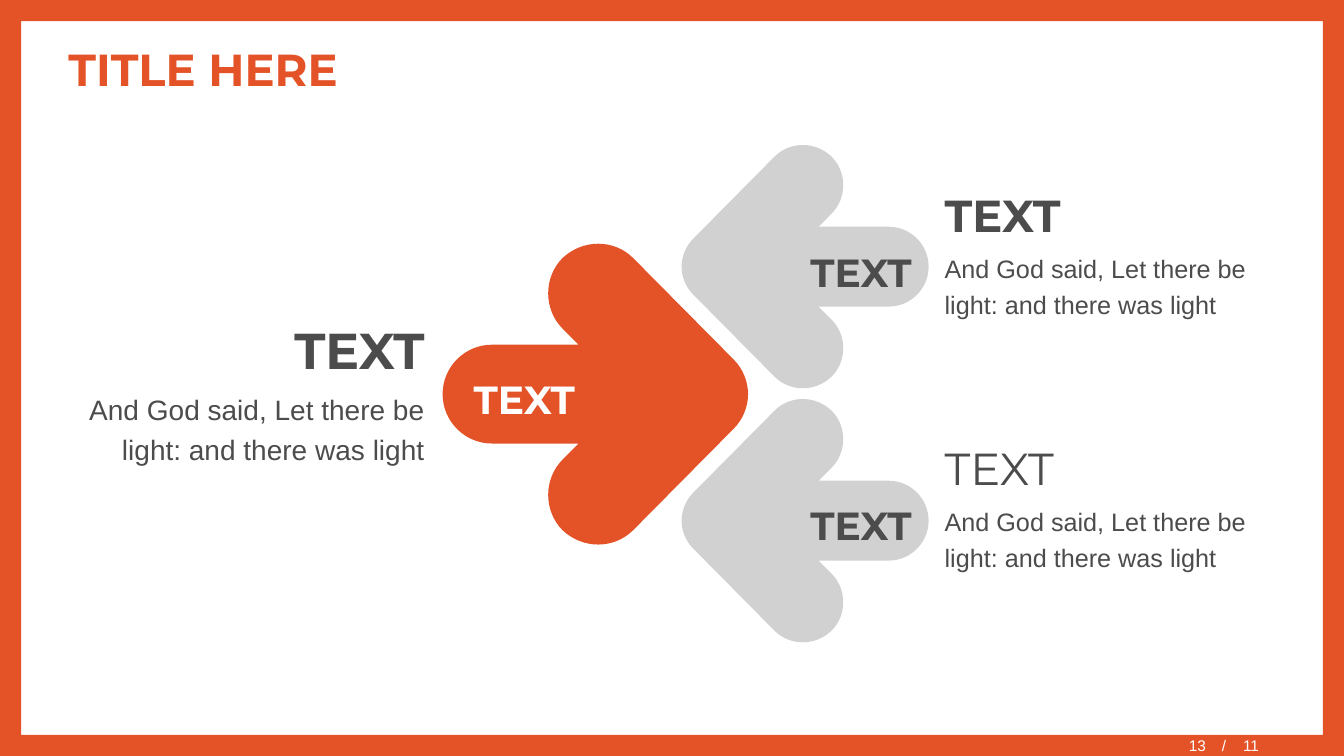
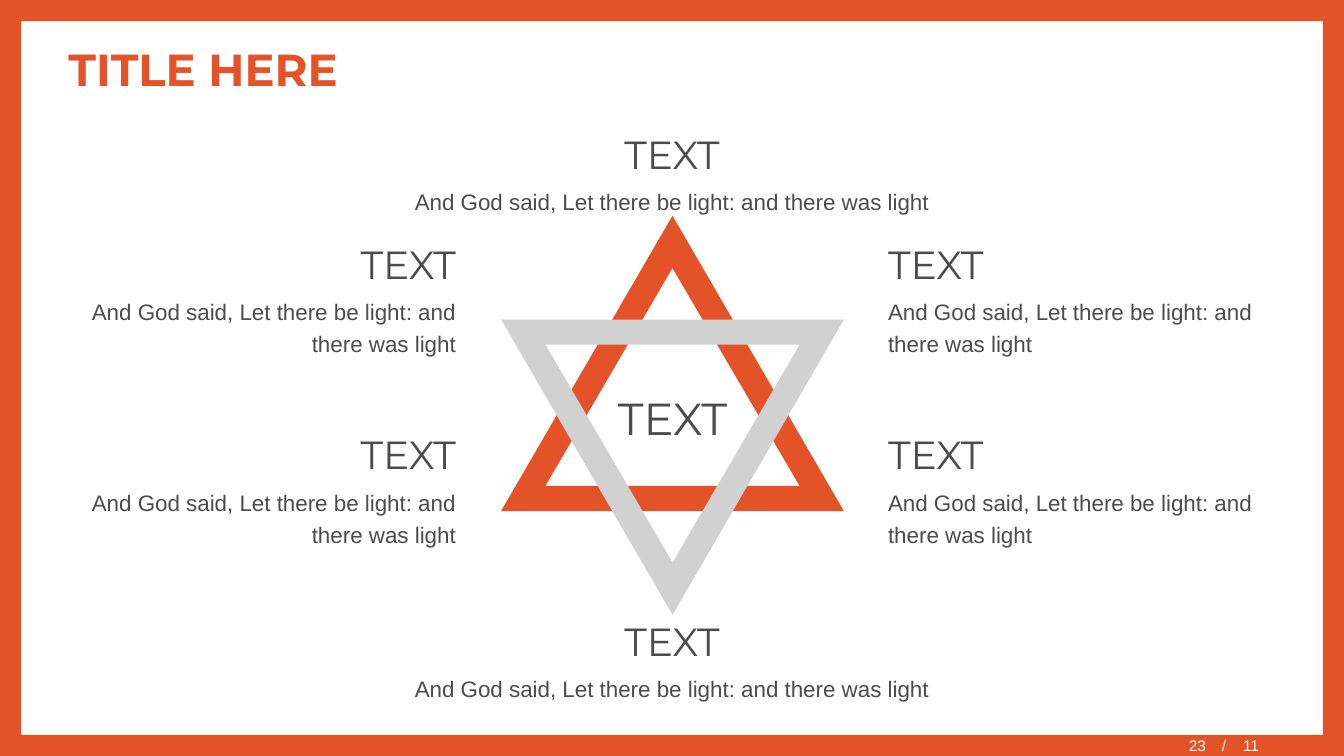
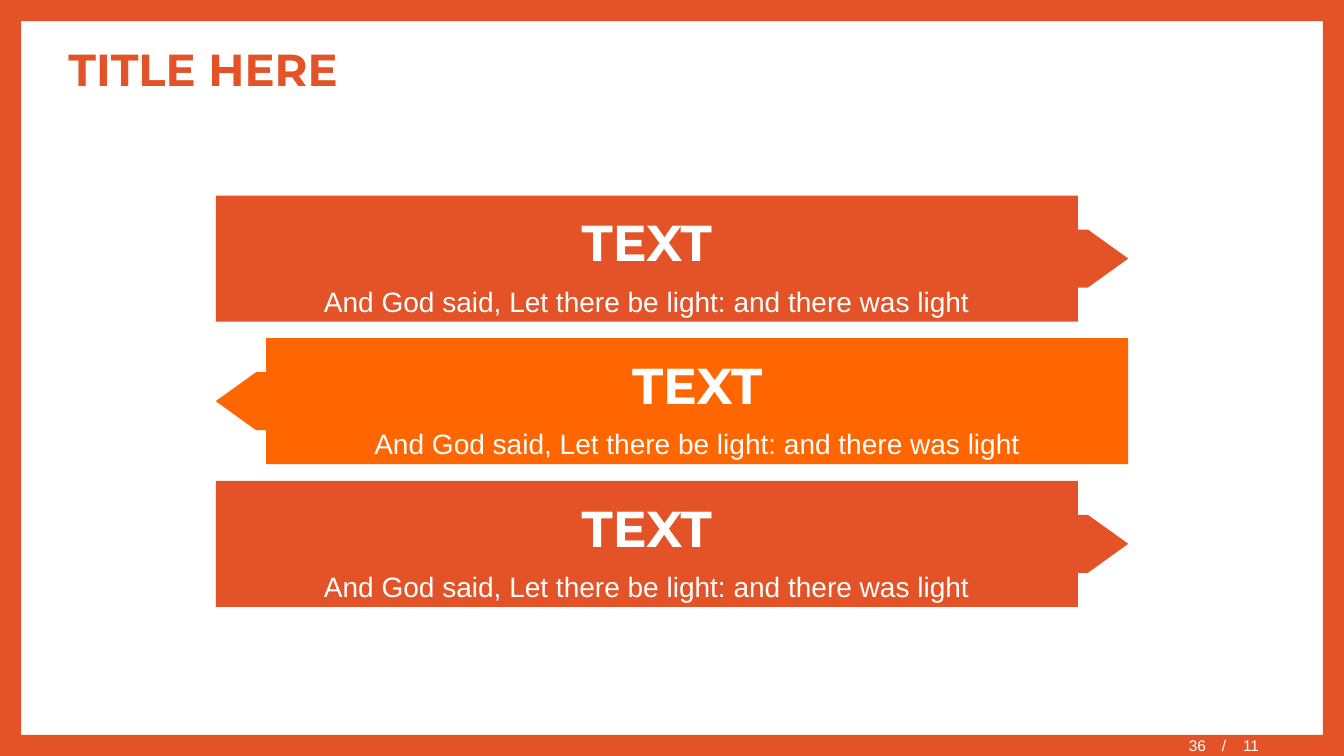
from pptx import Presentation
from pptx.dml.color import RGBColor
from pptx.enum.shapes import MSO_SHAPE
from pptx.enum.text import MSO_ANCHOR, MSO_AUTO_SIZE, PP_ALIGN
from pptx.oxml import parse_xml
from pptx.oxml.ns import nsdecls, qn
from pptx.util import Inches, Pt
from lxml.etree import SubElement

COLORS = {
    "brand": "E45327",
    "bright": "FF6600",
    "grey": "D1D1D1",
    "ink": "4C4C4C",
    "white": "FFFFFF",
}
HEAD, BODY = "Montserrat", "Arial"
LEFT, CENTER, RIGHT = PP_ALIGN.LEFT, PP_ALIGN.CENTER, PP_ALIGN.RIGHT
TOP, MIDDLE = MSO_ANCHOR.TOP, MSO_ANCHOR.MIDDLE
GROW = MSO_AUTO_SIZE.SHAPE_TO_FIT_TEXT
LABEL = "TEXT"
VERSE = "And God said, Let there be light: and there was light"
SLIDE_W, SLIDE_H = 13.33, 7.5
BORDER = 0.21

ARROW_W = 3.03
ARROW_EDGE = [
    [(0, 0.12), (0.05, 0.25), (0.14, 0.34)],
    [(1.14, 1.35)],
    [(1.33, 1.54), (1.64, 1.54), (1.84, 1.35)],
    [(2.03, 1.16), (2.03, 0.84), (1.84, 0.65)],
    [(1.68, 0.49)],
    [(2.54, 0.49)],
    [(2.81, 0.49), (3.03, 0.27), (3.03, 0)],
]


def rgb(name):
    return RGBColor.from_string(COLORS[name])


def paint(sp, color):
    sp.shadow.inherit = False
    sp.fill.solid()
    sp.fill.fore_color.rgb = rgb(color)
    sp.line.fill.background()


def font(name, size, color="ink", bold=False):
    return {"name": name, "size": Pt(size), "bold": bold, "color": color}


def write(tf, lines, align=LEFT, spaced=True):
    for i, (text, fmt) in enumerate(lines):
        p = tf.add_paragraph() if i else tf.paragraphs[0]
        p.alignment = align
        if spaced:
            p.line_spacing = 1.2
            p.space_before = Pt(2 if i else 0)
            p.space_after = Pt(2)
        r = p.add_run()
        r.text = text
        for key, value in fmt.items():
            if key == "color":
                r.font.color.rgb = rgb(value)
            else:
                setattr(r.font, key, value)


def text_box(s, box, lines, align=LEFT, spaced=True, **frame):
    tf = s.shapes.add_textbox(*map(Inches, box)).text_frame
    for key, value in {"word_wrap": True, **frame}.items():
        setattr(tf, key, value)
    write(tf, lines, align, spaced)
    return tf


def stack(s, box, align, head_size, body_size, bold=False):
    lines = [(LABEL, font(HEAD, head_size, bold=bold)), (VERSE, font(BODY, body_size))]
    text_box(s, box, lines, align, auto_size=GROW)


def label(s, box, fmt, anchor=MIDDLE):
    text_box(s, box, [(LABEL, fmt)], CENTER, word_wrap=False, auto_size=GROW,
             vertical_anchor=anchor)


def polygon(shapes, contours):
    paths = [[(Inches(x), Inches(y)) for x, y in c] for c in contours]
    builder = shapes.build_freeform(*paths[0][0])
    for i, points in enumerate(paths):
        if i:
            builder.move_to(*points[0])
        builder.add_line_segments(points[1:], close=True)
    return builder.convert_to_shape()


def mirrored(edge):
    starts = [(0, 0)] + [seg[-1] for seg in edge[:-1]]
    for start, seg in reversed(list(zip(starts, edge))):
        yield [(x, -y) for x, y in seg[-2::-1] + [start]]


def round_arrow(s, box, rotation, color):
    left, top, w, h = box
    corners = [(left, top), (left + w, top), (left + w, top + h), (left, top + h)]
    sp = polygon(s.shapes, [corners])
    path = next(sp._element.iter(qn("a:path")))
    for child in list(path):
        path.remove(child)

    def add(tag, points):
        node = SubElement(path, qn(tag))
        for x, y in points:
            px, py = Inches(w - x * w / ARROW_W), Inches(h / 2 + y * w / ARROW_W)
            SubElement(node, qn("a:pt"), x=str(int(px)), y=str(int(py)))

    add("a:moveTo", [(0, 0)])
    for seg in ARROW_EDGE + list(mirrored(ARROW_EDGE)):
        add("a:cubicBezTo" if len(seg) == 3 else "a:lnTo", seg)
    add("a:close", [])
    paint(sp, color)
    sp.rotation = rotation


def triangle_ring(group, box, rotation, color):
    left, top, w, h = box
    mid = left + w / 2
    outer = [(mid, top), (left + w, top + h), (left, top + h)]
    inner = [(mid, top + 0.52), (mid - 1.26, top + 2.68), (mid + 1.26, top + 2.68)]
    sp = polygon(group.shapes, [inner, outer])
    paint(sp, color)
    sp.rotation = rotation


def callout(s, box, color, flip):
    sp = s.shapes.add_shape(MSO_SHAPE.RIGHT_ARROW_CALLOUT, *map(Inches, box))
    body_w = 8.55
    for i, value in enumerate((0.5, 0.23, 0.32, body_w / box[2])):
        sp.adjustments[i] = value
    paint(sp, color)
    if flip:
        sp._element.spPr.find(qn("a:xfrm")).set("flipH", "1")
    tf = sp.text_frame
    tf.word_wrap = True
    tf.vertical_anchor = MIDDLE
    lines = [(LABEL, font(HEAD, 36, "white", True)), (VERSE, font(BODY, 20, "white"))]
    write(tf, lines, CENTER)


def title(s):
    text_box(s, (0.58, 0.29, 12.18, 0.79), [("TITLE HERE", font(HEAD, 32, "brand", True))],
             spaced=False, vertical_anchor=MIDDLE)


def footer(s, number):
    fmt = font(BODY, 11, "white")
    mid = {"spaced": False, "vertical_anchor": MIDDLE}
    tf = text_box(s, (12.02, 7.3, 1.31, 0.18), [], **mid)
    pPr = tf.paragraphs[0]._p.get_or_add_pPr()
    stop = Inches(0.21)
    pPr.append(parse_xml(
        f'<a:tabLst {nsdecls("a")}><a:tab pos="{stop}" algn="l"/></a:tabLst>'
    ))
    write(tf, [("/\t11", fmt)], spaced=False)
    text_box(s, (9.47, 7.33, 2.59, 0.18), [(str(number), fmt)], RIGHT, margin_top=0, **mid)


def arrows(s):
    round_arrow(s, (4.39, 2.42, ARROW_W, 2.98), 0, "brand")
    stack(s, (0.58, 3, 3.73, 1.69), RIGHT, 36, 20, True)
    label(s, (4.52, 3.58, 1.36, 0.67), font(HEAD, 28, "white", True))
    rows = ((1.44, 1.71, 2.32, True), (3.96, 4.22, 4.83, False))
    for arrow_top, stack_top, label_top, bold in rows:
        round_arrow(s, (6.76, arrow_top, 2.45, 2.41), 180, "grey")
        stack(s, (9.27, stack_top, 3.49, 1.53), LEFT, 32, 18, bold)
        label(s, (7.86, label_top, 1.36, 0.67), font(HEAD, 28, bold=True))


def star(s):
    group = s.shapes.add_group_shape()
    for top, rotation, color in ((2.14, 0, "brand"), (3.17, 180, "grey")):
        triangle_ring(group, (4.97, top, 3.4, 2.93), rotation, color)
    for top in (2.24, 4.13):
        for left, align in ((0.58, RIGHT), (8.71, LEFT)):
            stack(s, (left, top, 4.04, 1.37), align, 28, 16)
    for top in (1.15, 5.98):
        stack(s, (3.53, top, 6.27, 1.05), CENTER, 28, 16)
    label(s, (5.91, 3.72, 1.52, 0.75), font(HEAD, 32), TOP)


def banners(s):
    first, last = 1.94, 4.77
    for i, color in enumerate(("brand", "bright", "brand")):
        top = first + i * (last - first) / 2
        callout(s, (2.14, top, 9.05, 1.25), color, flip=i == 1)


def frame_layout(layout, s):
    box = (0, 0, SLIDE_W, SLIDE_H)
    sp = s.shapes.add_shape(MSO_SHAPE.FRAME, *map(Inches, box))
    sp.adjustments[0] = BORDER / SLIDE_H
    paint(sp, "brand")
    layout.shapes._spTree.append(sp._element)


def main():
    prs = Presentation()
    prs.slide_width, prs.slide_height = Inches(SLIDE_W), Inches(SLIDE_H)
    layout = prs.slide_layouts[6]
    for number, body in ((13, arrows), (23, star), (36, banners)):
        s = prs.slides.add_slide(layout)
        title(s)
        body(s)
        footer(s, number)
    frame_layout(layout, s)
    prs.save("out.pptx")


if __name__ == "__main__":
    main()
